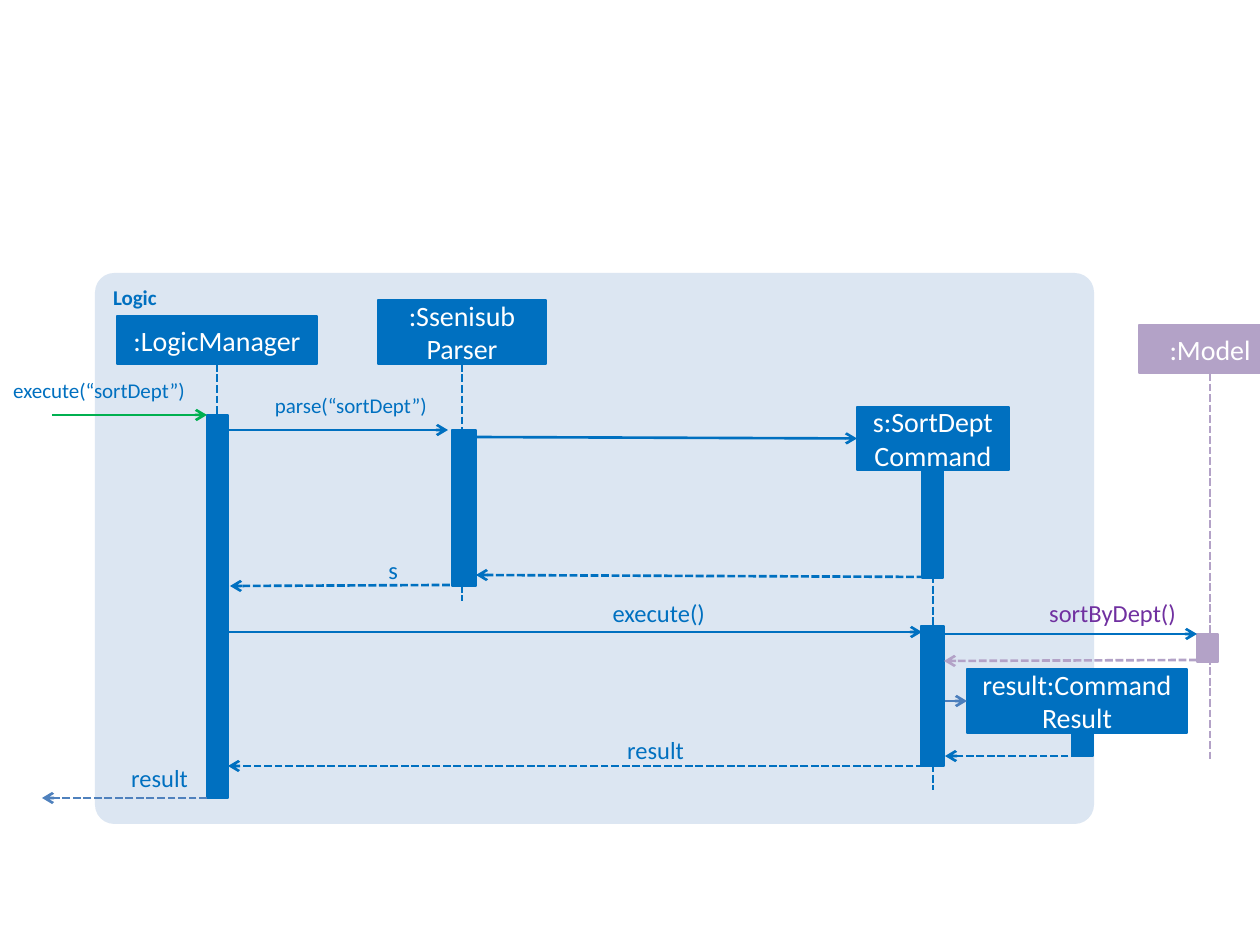
from dataclasses import dataclass

from pptx import Presentation
from pptx import util as u
from pptx.dml.color import RGBColor
from pptx.enum import dml, shapes, text
from pptx.oxml.ns import qn
from lxml import etree

SCALE = 914400 / 126


def px(length):
    return u.Emu(round(length * SCALE))


@dataclass(frozen=True)
class Theme:
    font: str = "Calibri"
    panel: str = "DCE6F2"
    logic: str = "0070C0"
    model: str = "B3A2C7"
    model_call: str = "7030A0"
    entry: str = "00B050"
    exit: str = "4F81BD"
    creation: str = "4B7EBC"
    white: str = "FFFFFF"
    head_size: int = 16
    label_size: int = 14
    small_size: int = 12
    line: float = 1.5
    bar_line: float = 0.75


class SequenceDiagram:
    def __init__(self, slide, theme):
        self.slide = slide
        self.theme = theme

    def add_wording(self, frame, wording, size, color, align, bold=None):
        frame.word_wrap = True
        for i, part in enumerate(wording.split("\n")):
            paragraph = frame.paragraphs[0] if i == 0 else frame.add_paragraph()
            paragraph.alignment = align
            for j, line in enumerate(part.split("\v")):
                if j:
                    paragraph.add_line_break()
                run = paragraph.add_run()
                run.text = line
                run.font.name = self.theme.font
                run.font.size = u.Pt(size)
                run.font.bold = bold
                run.font.color.rgb = RGBColor.from_string(color)

    def block(self, x, y, w, h, color, line=None, kind=shapes.MSO_SHAPE.RECTANGLE):
        block = self.slide.shapes.add_shape(kind, px(x), px(y), px(w), px(h))
        block.shadow.inherit = False
        block.fill.solid()
        block.fill.fore_color.rgb = RGBColor.from_string(color)
        if line is None:
            block.line.fill.background()
        else:
            block.line.color.rgb = RGBColor.from_string(color)
            block.line.width = u.Pt(line)
        return block

    def panel(self, title, x, y, w, h):
        panel = self.block(x, y, w, h, self.theme.panel,
                           kind=shapes.MSO_SHAPE.ROUNDED_RECTANGLE)
        panel.adjustments[0] = 0.035
        panel.text_frame.vertical_anchor = text.MSO_ANCHOR.TOP
        self.add_wording(panel.text_frame, title, self.theme.small_size,
                         self.theme.logic, text.PP_ALIGN.LEFT, bold=True)

    def head(self, name, x, y, w, h, color):
        head = self.block(x, y, w, h, color, self.theme.line)
        head.text_frame.vertical_anchor = text.MSO_ANCHOR.MIDDLE
        self.add_wording(head.text_frame, name, self.theme.head_size,
                         self.theme.white, text.PP_ALIGN.CENTER)
        return head

    def bar(self, x, y, w, h, color):
        return self.block(x, y, w, h, color, self.theme.bar_line)

    def line(self, start, end, color, dashed=False, arrow=True, source=None, target=None):
        line = self.slide.shapes.add_connector(
            shapes.MSO_CONNECTOR.STRAIGHT, *map(px, start + end))
        if source is not None:
            line.begin_connect(source, 2)
        if target is not None:
            line.end_connect(target, 1)
        line.line.color.rgb = RGBColor.from_string(color)
        line.line.width = u.Pt(self.theme.line)
        if dashed:
            line.line.dash_style = dml.MSO_LINE.SQUARE_DOT
        properties = line.element.spPr
        if arrow:
            etree.SubElement(properties.find(qn("a:ln")), qn("a:tailEnd"), type="arrow")
        etree.SubElement(properties, qn("a:effectLst"))

    def lifeline(self, head, bottom, color):
        x = (head.left + head.width / 2) / SCALE
        y = (head.top + head.height) / SCALE
        self.line((x, y), (x, bottom), color, dashed=True, arrow=False, source=head)

    def label(self, wording, x, y, w, h, size, color):
        box = self.slide.shapes.add_textbox(px(x), px(y), px(w), px(h))
        frame = box.text_frame
        frame.margin_left = frame.margin_right = 0
        frame.margin_top = frame.margin_bottom = 0
        frame.auto_size = text.MSO_AUTO_SIZE.SHAPE_TO_FIT_TEXT
        self.add_wording(frame, wording, size, color, text.PP_ALIGN.RIGHT)


def main():
    deck = Presentation()
    deck.slide_width, deck.slide_height = px(1260), px(945)
    theme = Theme()
    diagram = SequenceDiagram(deck.slides.add_slide(deck.slide_layouts[6]), theme)
    logic, model = theme.logic, theme.model

    diagram.panel("Logic", 95, 273, 999, 551)

    participants = [
        (":LogicManager", (117, 316, 200, 48), 724, (207, 415, 21, 383), logic),
        (":Ssenisub\nParser", (378, 300, 168, 64), 601, (452, 430, 24, 156), logic),
        ("s:SortDept\vCommand", (857, 407, 152, 63), 790, (922, 470, 21, 108), logic),
        (":Model", (1139, 325, 142, 48), 762, (1197, 634, 21, 28), model),
    ]
    heads = {}
    for name, place, bottom, activation, color in participants:
        heads[name] = diagram.head(name, *place, color)
        diagram.lifeline(heads[name], bottom, color)
        diagram.bar(*activation, color)
    diagram.bar(921, 626, 23, 140, logic)

    command_result = diagram.head("result:Command Result", 967, 669, 220, 64, logic)
    diagram.bar(1072, 732, 21, 24, logic)

    calls = [
        ((52, 415), (207, 415), theme.entry, None),
        ((228, 430), (448, 430), logic, None),
        ((470, 437), (857, 438), logic, heads["s:SortDept\vCommand"]),
        ((228, 632), (922, 632), logic, None),
        ((944, 634), (1197, 634), logic, None),
        ((945, 701), (967, 701), theme.creation, command_result),
    ]
    for start, end, color, target in calls:
        diagram.line(start, end, color, target=target)

    returns = [
        ((935, 577), (476, 575), logic),
        ((450, 585), (230, 586), logic),
        ((1197, 660), (944, 661), model),
        ((1079, 756), (945, 756), logic),
        ((924, 766), (228, 766), logic),
        ((207, 798), (42, 798), theme.exit),
    ]
    for start, end, color in returns:
        diagram.line(start, end, color, dashed=True)

    small, normal = theme.small_size, theme.label_size
    labels = [
        ("execute(“sortDept”)", -53, 378, 238, 25, small, logic),
        ("parse(“sortDept”)", 230, 393, 197, 25, small, logic),
        ("s", 368, 555, 30, 30, normal, logic),
        ("execute()", 587, 598, 118, 30, normal, logic),
        ("sortByDept()", 955, 598, 221, 30, normal, theme.model_call),
        ("result", 598, 735, 86, 30, normal, logic),
        ("result", 83, 763, 105, 30, normal, logic),
    ]
    for label in labels:
        diagram.label(*label)

    deck.save("out.pptx")


if __name__ == "__main__":
    main()
